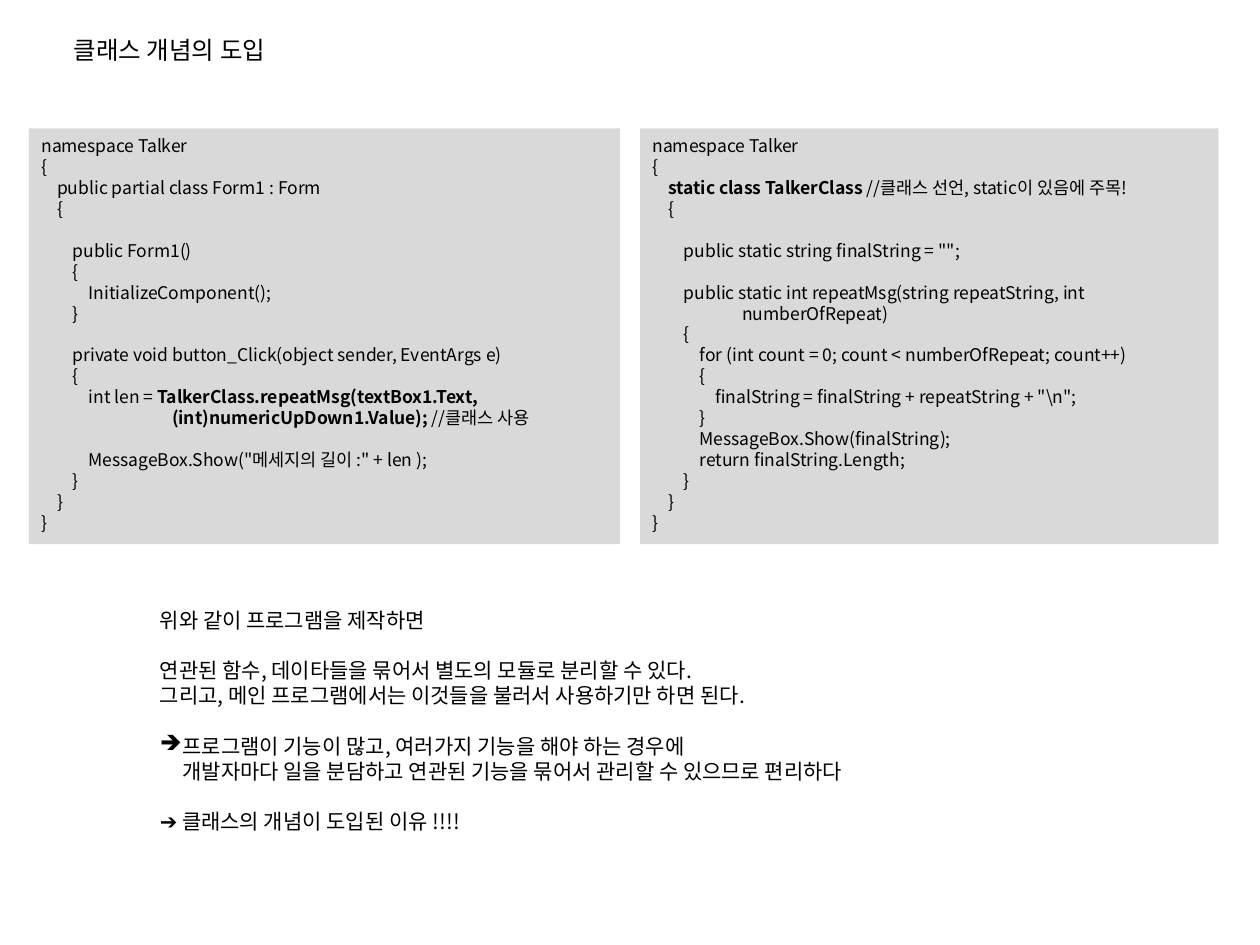
from dataclasses import dataclass

from lxml.etree import SubElement
from pptx import Presentation
from pptx.dml.color import RGBColor
from pptx.enum.shapes import MSO_SHAPE
from pptx.enum.text import MSO_ANCHOR, PP_ALIGN
from pptx.oxml.ns import qn
from pptx.util import Inches, Pt

COLORS = {"text": "000000", "panel": "D9D9D9"}
FONT = "Noto Sans CJK KR"
LINE_HEIGHT = 1.2  # line pitch relative to the font size
CODE_STEP = 0.125  # one level of code indentation, in inches
HANG = 0.18  # room for the arrow in the explanation


@dataclass
class Line:
    text: str  # parts between ** marks are bold
    level: float = 0
    gap: bool = False  # one line of space above
    bullet: str = ""


FORM_CODE = [
    Line("namespace Talker"),
    Line("{"),
    Line("public partial class Form1 : Form", 1),
    Line("{", 1),
    Line("public Form1()", 2, gap=True),
    Line("{", 2),
    Line("InitializeComponent();", 3),
    Line("}", 2),
    Line("private void button_Click(object sender, EventArgs e)", 2, gap=True),
    Line("{", 2),
    Line("int len = **TalkerClass.repeatMsg(textBox1.Text,", 3),
    Line("(int)numericUpDown1.Value); **//클래스 사용".join(["**", ""]), 8.3),
    Line('MessageBox.Show("메세지의 길이 :" + len );', 3, gap=True),
    Line("}", 2),
    Line("}", 1),
    Line("}"),
]

CLASS_CODE = [
    Line("namespace Talker"),
    Line("{"),
    Line("**static class TalkerClass **//클래스 선언, static이 있음에 주목!", 1),
    Line("{", 1),
    Line('public static string finalString = "";', 2, gap=True),
    Line("public static int repeatMsg(string repeatString, int", 2, gap=True),
    Line("numberOfRepeat)", 5.7),
    Line("{", 2),
    Line("for (int count = 0; count < numberOfRepeat; count++)", 3),
    Line("{", 3),
    Line('finalString = finalString + repeatString + "\\n";', 4),
    Line("}", 3),
    Line("MessageBox.Show(finalString);", 3),
    Line("return finalString.Length;", 3),
    Line("}", 2),
    Line("}", 1),
    Line("}"),
]

EXPLANATION = [
    Line("위와 같이 프로그램을 제작하면"),
    Line("연관된 함수, 데이타들을 묶어서 별도의 모듈로 분리할 수 있다.", gap=True),
    Line("그리고, 메인 프로그램에서는 이것들을 불러서 사용하기만 하면 된다."),
    Line("프로그램이 기능이 많고, 여러가지 기능을 해야 하는 경우에", 1, gap=True, bullet="➔"),
    Line("개발자마다 일을 분담하고 연관된 기능을 묶어서 관리할 수 있으므로 편리하다", 1),
    Line("➔ 클래스의 개념이 도입된 이유 !!!!", gap=True),
]


def format_span(span, size, bold=False):
    span.font.size = Pt(size)
    span.font.name = FONT
    span.font.bold = bold
    span.font.color.rgb = RGBColor.from_string(COLORS["text"])
    SubElement(span.font._element, qn("a:ea")).set("typeface", FONT)


def indent(para, left, bullet):
    properties = para._p.get_or_add_pPr()
    properties.set("marL", str(Inches(left)))
    properties.set("indent", str(-Inches(left) if bullet else 0))
    if bullet:
        SubElement(properties, qn("a:buChar")).set("char", bullet)


def write_lines(frame, lines, size, step):
    """Fill a text frame, one paragraph for each line."""
    pitch = Pt(size * LINE_HEIGHT)
    for number, line in enumerate(lines):
        para = frame.add_paragraph() if number else frame.paragraphs[0]
        para.alignment = PP_ALIGN.LEFT
        para.line_spacing = pitch
        para.space_before = pitch if line.gap else Pt(0)
        indent(para, line.level * step, line.bullet)
        for position, part in enumerate(line.text.split("**")):
            if part:
                span = para.add_run()
                span.text = part
                format_span(span, size, bold=position % 2 == 1)


def add_code_panel(page, left, width, lines):
    panel = page.shapes.add_shape(
        MSO_SHAPE.RECTANGLE, Inches(left), Inches(1.02), Inches(width), Inches(3.3))
    panel.shadow.inherit = False
    panel.fill.solid()
    panel.fill.fore_color.rgb = RGBColor.from_string(COLORS["panel"])
    panel.line.fill.background()
    panel.text_frame.word_wrap = True
    panel.text_frame.vertical_anchor = MSO_ANCHOR.TOP
    write_lines(panel.text_frame, lines, 10, CODE_STEP)


def add_text(page, left, top, width, height, lines, size):
    box = page.shapes.add_textbox(
        Inches(left), Inches(top), Inches(width), Inches(height))
    box.text_frame.word_wrap = False
    write_lines(box.text_frame, lines, size, HANG)
    return box


def main():
    deck = Presentation()
    deck.slide_width, deck.slide_height = Inches(10), Inches(7.5)
    page = deck.slides.add_slide(deck.slide_layouts[6])

    # Title
    title = add_text(page, 0.39, 0.23, 1.91, 0.34, [Line("클래스 개념의 도입")], 14)
    title.text_frame.paragraphs[0].alignment = PP_ALIGN.CENTER

    # Code that uses the class, and the class itself
    add_code_panel(page, 0.23, 4.69, FORM_CODE)
    add_code_panel(page, 5.08, 4.59, CLASS_CODE)

    # Explanation
    add_text(page, 1.17, 4.77, 6.3, 1.92, EXPLANATION, 12)

    deck.save("out.pptx")


if __name__ == "__main__":
    main()
